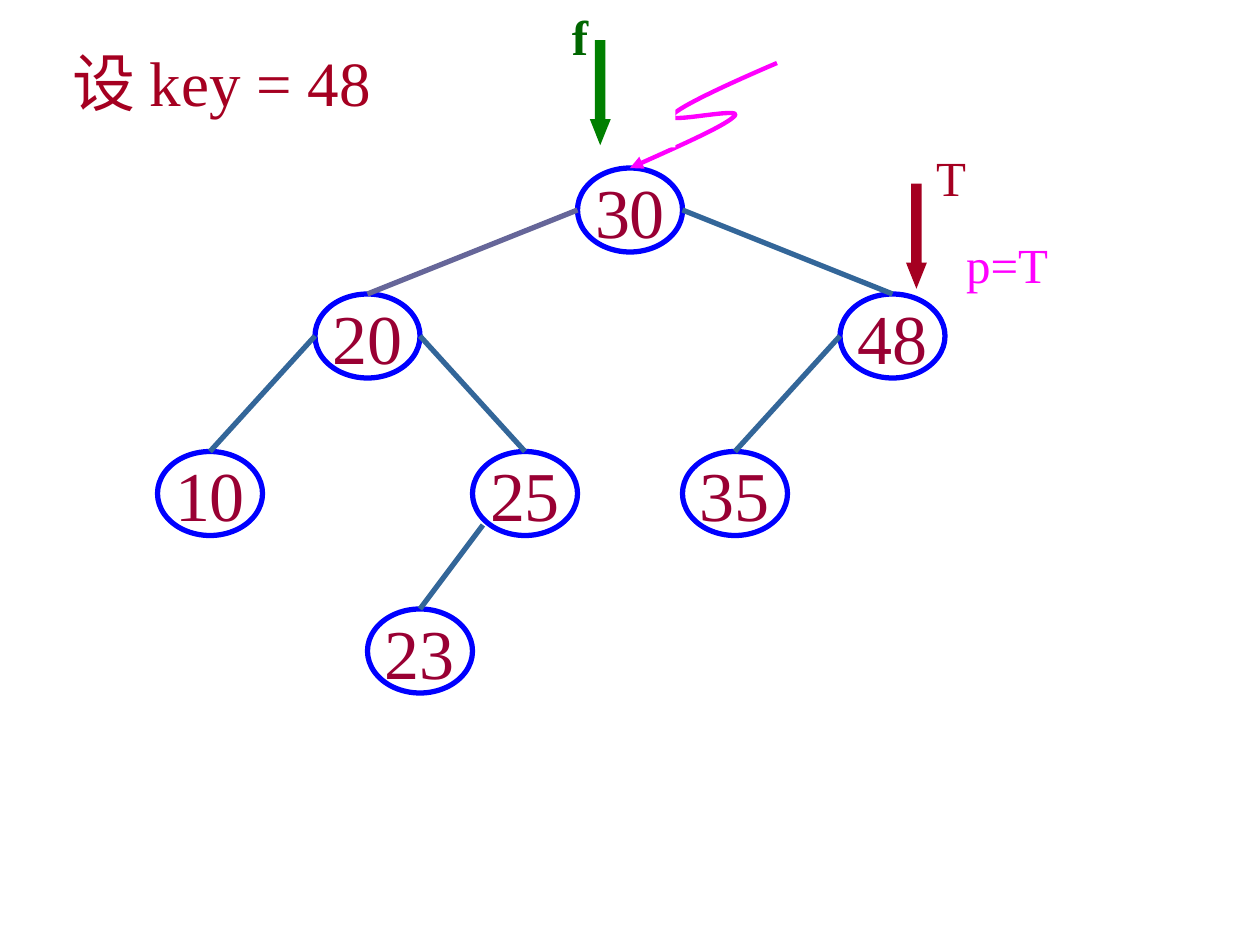
import lxml.etree
import pptx
import pptx.dml.color
import pptx.enum.shapes
import pptx.enum.text
import pptx.oxml.ns
import pptx.util

Pt = pptx.util.Pt
RGBColor = pptx.dml.color.RGBColor
Shape = pptx.enum.shapes.MSO_SHAPE
qn = pptx.oxml.ns.qn

WHITE = RGBColor(0xFF, 0xFF, 0xFF)
BLUE = RGBColor(0x00, 0x00, 0xFF)
STEEL = RGBColor(0x33, 0x66, 0x99)
SLATE = RGBColor(0x66, 0x66, 0x99)
WINE = RGBColor(0x99, 0x00, 0x33)
RED = RGBColor(0xA5, 0x00, 0x21)
GREEN = RGBColor(0x00, 0x80, 0x00)
DARK_GREEN = RGBColor(0x00, 0x66, 0x00)
MAGENTA = RGBColor(0xFF, 0x00, 0xFF)

NODE_WIDTH, NODE_HEIGHT = 60, 48
LEFT, RIGHT, LOWER_LEFT = (0, 24), (60, 24), (6, 42)

NODES = {
    "30": (330, 96),
    "20": (180, 168),
    "10": (90, 258),
    "48": (480, 168),
    "35": (390, 258),
    "25": (270, 258),
    "23": (210, 348),
}
EDGES = [
    ("30", LEFT, "20", SLATE),
    ("30", RIGHT, "48", STEEL),
    ("20", LEFT, "10", STEEL),
    ("20", RIGHT, "25", STEEL),
    ("25", LOWER_LEFT, "23", STEEL),
    ("48", LEFT, "35", STEEL),
]
POINTER_CURVE = [
    (444, 36),
    (416, 48), (388, 61), (384, 66),
    (380, 71), (424, 61), (420, 66),
    (416, 71), (388, 83.5), (360, 96),
]


class TreePage:
    font_name = "Times New Roman"
    line_width = 3

    def __init__(self, page):
        self.page = page

    def set_text(self, frame, text, size, color, bold=False):
        paragraph = frame.paragraphs[0]
        paragraph.text = text
        paragraph.font.name = self.font_name
        paragraph.font.size = Pt(size)
        paragraph.font.bold = bold
        paragraph.font.color.rgb = color
        return paragraph

    def label(self, text, left, top, width, height, color, size=28, bold=False, wrap=False):
        box = self.page.shapes.add_textbox(Pt(left), Pt(top), Pt(width), Pt(height))
        box.text_frame.word_wrap = wrap
        self.set_text(box.text_frame, text, size, color, bold)

    def solid(self, kind, left, top, width, height, color):
        shape = self.page.shapes.add_shape(kind, Pt(left), Pt(top), Pt(width), Pt(height))
        shape.shadow.inherit = False
        shape.fill.solid()
        shape.fill.fore_color.rgb = color
        shape.line.fill.background()
        return shape

    def arrow(self, left, top, color):
        shape = self.solid(Shape.DOWN_ARROW, left, top, 12, 60, color)
        shape.adjustments[0] = 0.5
        shape.adjustments[1] = 1.25

    def node(self, text, left, top):
        shape = self.page.shapes.add_shape(
            Shape.OVAL, Pt(left), Pt(top), Pt(NODE_WIDTH), Pt(NODE_HEIGHT))
        shape.shadow.inherit = False
        shape.fill.background()
        shape.line.color.rgb = BLUE
        shape.line.width = Pt(self.line_width)
        frame = shape.text_frame
        frame.word_wrap = False
        frame.vertical_anchor = pptx.enum.text.MSO_ANCHOR.MIDDLE
        paragraph = self.set_text(frame, text, 40, WINE)
        paragraph.alignment = pptx.enum.text.PP_ALIGN.CENTER
        return shape

    def edge(self, parent, offset, child, color):
        edge = self.page.shapes.add_connector(
            pptx.enum.shapes.MSO_CONNECTOR.STRAIGHT,
            parent.left + Pt(offset[0]), parent.top + Pt(offset[1]),
            child.left + child.width // 2, child.top)
        edge.end_connect(child, 0)
        edge.line.color.rgb = color
        edge.line.width = Pt(self.line_width)
        lxml.etree.SubElement(edge._element.spPr, qn("a:effectLst"))

    def curve_arrow(self, points, color):
        start, *controls = [(Pt(x), Pt(y)) for x, y in points]
        builder = self.page.shapes.build_freeform(*start)
        builder.add_line_segments(controls, close=False)
        curve = builder.convert_to_shape()
        segments = list(curve._element.iter(qn("a:lnTo")))
        for first in range(0, len(segments), 3):
            bezier = lxml.etree.Element(qn("a:cubicBezTo"))
            segments[first].addprevious(bezier)
            for segment in segments[first:first + 3]:
                bezier.append(segment[0])
                segment.getparent().remove(segment)
        curve.shadow.inherit = False
        curve.fill.background()
        curve.line.color.rgb = color
        curve.line.width = Pt(2.5)
        outline = curve._element.spPr.find(qn("a:ln"))
        lxml.etree.SubElement(outline, qn("a:tailEnd"), type="triangle")


def main():
    deck = pptx.Presentation()
    deck.slide_width, deck.slide_height = Pt(720), Pt(540)
    tree = TreePage(deck.slides.add_slide(deck.slide_layouts[6]))

    tree.label("设 key = 48", 34.5, 21.6, 186, 50.4, RED, size=36, wrap=True)
    nodes = {key: tree.node(key, *place) for key, place in NODES.items()}
    for parent, offset, child, color in EDGES:
        tree.edge(nodes[parent], offset, nodes[child], color)

    tree.curve_arrow(POINTER_CURVE, MAGENTA)
    tree.solid(Shape.RECTANGLE, 351.4, 3.6, 34.6, 80.6, WHITE)

    tree.arrow(337, 23, GREEN)
    tree.label("f", 319.7, 0, 23.8, 41, DARK_GREEN, bold=True)
    tree.arrow(517.7, 105, RED)
    tree.label("T", 527.8, 80.6, 31.7, 41, RED)
    tree.label("p=T", 545, 130.3, 61.2, 41, MAGENTA)

    deck.save("out.pptx")


if __name__ == "__main__":
    main()
